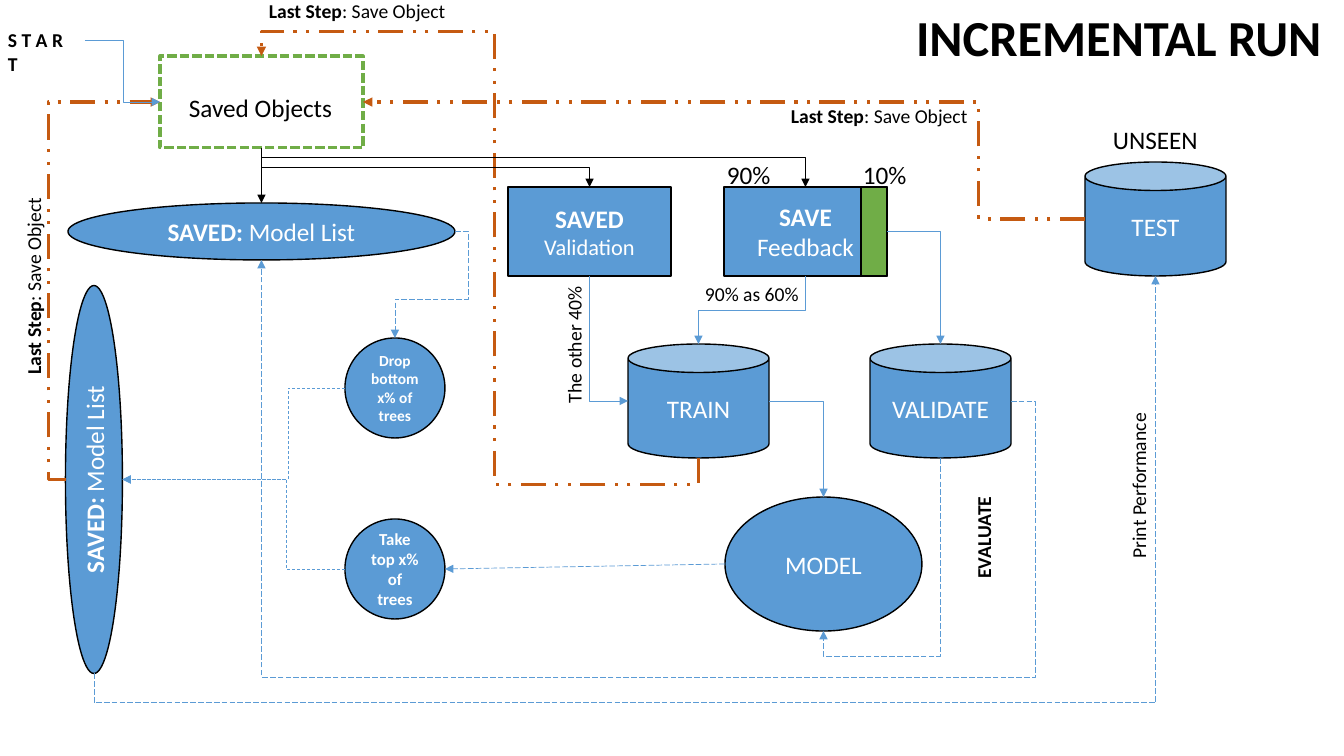
from lxml import etree
from pptx import Presentation
from pptx.dml.color import RGBColor
from pptx.enum.dml import MSO_LINE
from pptx.enum.shapes import MSO_CONNECTOR, MSO_SHAPE
from pptx.enum.text import MSO_ANCHOR, MSO_AUTO_SIZE, PP_ALIGN
from pptx.oxml.ns import qn
from pptx.util import Pt

PX = 914400 / 100.8
FONT = "Calibri"
BLUE = RGBColor(0x5B, 0x9B, 0xD5)
GREEN = RGBColor(0x70, 0xAD, 0x47)
ORANGE = RGBColor(0xC5, 0x5A, 0x11)
BLACK = RGBColor(0, 0, 0)
WHITE = RGBColor(255, 255, 255)

RECTANGLE, OVAL, CAN = MSO_SHAPE.RECTANGLE, MSO_SHAPE.OVAL, MSO_SHAPE.CAN
STRAIGHT, ELBOW = MSO_CONNECTOR.STRAIGHT, MSO_CONNECTOR.ELBOW
LONG_DASH, DASH = MSO_LINE.LONG_DASH, MSO_LINE.DASH
DASH_DOT_DOT, SQUARE_DOT = MSO_LINE.DASH_DOT_DOT, MSO_LINE.SQUARE_DOT
TOP, MIDDLE = MSO_ANCHOR.TOP, MSO_ANCHOR.MIDDLE
LEFT, CENTER = PP_ALIGN.LEFT, PP_ALIGN.CENTER
FIT_SHAPE, FIT_NONE = MSO_AUTO_SIZE.SHAPE_TO_FIT_TEXT, MSO_AUTO_SIZE.NONE

TITLE = ("INCREMENTAL RUN", (906, 1, 431, 72))
MODEL_LIST = [[("SAVED:", True, 18), (" Model List", False, 18)]]
LAST_STEP = [[("Last Step", True, 14), (": Save Object", False, 14)]]

NODES = {
    "list": (OVAL, (68, 203, 387, 57), 0, BLUE, MODEL_LIST),
    "validation": (RECTANGLE, (508, 187, 163, 89), 0, BLUE,
                   [[("SAVED", True, 18)], [("Validation", False, 16)]]),
    "feedback": (RECTANGLE, (724, 187, 163, 89), 0, BLUE,
                 [[("SAVE", True, 18)], [("Feedback", False, 18)]]),
    "test": (CAN, (1085, 162, 141, 114), 0, BLUE, [[("TEST", False, 18)]]),
    "tenth": (RECTANGLE, (861, 187, 26, 89), 0, GREEN, []),
    "train": (CAN, (628, 344, 141, 114), 0, BLUE, [[("TRAIN", False, 18)]]),
    "model": (OVAL, (725, 497, 197, 134), 0, BLUE, [[("MODEL", False, 18)]]),
    "validate": (CAN, (870, 344, 141, 114), 0, BLUE, [[("VALIDATE", False, 18)]]),
    "drop": (OVAL, (345, 338, 100, 100), 0, BLUE,
             [[("Drop bottom x% of trees", True, 11)]]),
    "take": (OVAL, (345, 519, 100, 100), 0, BLUE,
             [[("Take top x% of trees", True, 12)]]),
    "new list": (OVAL, (-100, 451, 388, 57), 270, BLUE, MODEL_LIST),
    "objects": (RECTANGLE, (160, 56, 203, 92), 0, WHITE, []),
}

LABELS = {
    "unseen": ((1103, 119, 106, 40), 0, [[("UNSEEN", False, 18)]]),
    "ten": ((853, 154, 65, 40), 0, [[("10%", False, 18)]]),
    "ninety": ((717, 154, 65, 40), 0, [[("90%", False, 18)]]),
    "print": ((1055, 468, 167, 34), 270, [[("Print Performance", False, 14)]]),
    "share": ((695, 277, 115, 34), 0, [[("90% as 60%", False, 14)]]),
    "other": ((505, 327, 138, 34), 270, [[("The other 40%", False, 14)]]),
    "saved": ((179, 87, 165, 40), 0, [[("Saved Objects", False, 18)]]),
    "test step": ((781, 99, 197, 34), 0, LAST_STEP),
    "list step": ((-65, 269, 197, 34), 270, LAST_STEP),
    "train step": ((259, -6, 197, 34), 0, LAST_STEP),
    "evaluate": ((932, 520, 103, 34), 270, [[("EVALUATE", True, 14)]]),
    "start": ((-2, 23, 87, 34), 0, [[("S T A R T", True, 14)]]),
}

SOLID_BLUE = (BLUE, 0.5, None)
LONG_BLUE = (BLUE, 0.5, LONG_DASH)
SHORT_BLUE = (BLUE, 0.5, DASH)
SAVE_ORANGE = (ORANGE, 2.25, DASH_DOT_DOT)
SOLID_BLACK = (BLACK, 0.5, None)

ROUTES = [
    ("train", "bottom", "objects", "top", [484, 495, 31], SAVE_ORANGE),
    ("validation", "bottom", "train", "left", [], SOLID_BLUE),
    ("feedback", "bottom", "train", "top", [310], SOLID_BLUE),
    ("tenth", "right", "validate", "top", [], SOLID_BLUE),
    ("train", "right", "model", "top", [], SOLID_BLUE),
    ("validate", "bottom", "model", "bottom", [656], LONG_BLUE),
    ("validate", "right", "list", "bottom", [1036, 677], LONG_BLUE),
    ("drop", "left", "new list", "right", [288], SHORT_BLUE),
    ("take", "left", "new list", "right", [286], SHORT_BLUE),
    ("list", "right", "drop", "top", [468, 299], LONG_BLUE),
    ("model", "left", "take", "right", None, LONG_BLUE),
    ("new list", "bottom", "test", "bottom", [703], LONG_BLUE),
    ("new list", "left", "objects", "left", [48], SAVE_ORANGE),
    ("test", "left", "objects", "right", [979], SAVE_ORANGE),
    ("objects", "bottom", "list", "top", None, SOLID_BLACK),
    ("objects", "bottom", "validation", "top", [167], SOLID_BLACK),
    ("objects", "bottom", "feedback", "top", [157], SOLID_BLACK),
    ("start", "right", "objects", "left", [123], SOLID_BLUE),
]

SIDES = ("top", "left", "bottom", "right")
SIDE_OFFSETS = {"top": (0, -1), "left": (-1, 0), "bottom": (0, 1), "right": (1, 0)}
OVAL_SITES = (0, 2, 4, 6)
TURNED_SITES = (6, 0, 2, 4)
CAN_SITES = (1, 2, 3, 4)
PLAIN_SITES = (0, 1, 2, 3)


def emu(lengths):
    return [round(length * PX) for length in lengths]


def write(shape, paragraphs, color=BLACK, align=LEFT, anchor=TOP, wrap=False, fit=FIT_SHAPE):
    frame = shape.text_frame
    frame.word_wrap = wrap
    frame.auto_size = fit
    frame.vertical_anchor = anchor
    for index, spans in enumerate(paragraphs):
        para = frame.add_paragraph() if index else frame.paragraphs[0]
        para.alignment = align
        for text, bold, size in spans:
            span = para.add_run()
            span.text = text
            span.font.name = FONT
            span.font.size = Pt(size)
            span.font.bold = bold
            span.font.color.rgb = color


def style_line(line, color, width, dash):
    line.color.rgb = color
    line.width = Pt(width)
    if dash is not None:
        line.dash_style = dash


def side_point(shape, side):
    width, height = shape.width, shape.height
    if shape.rotation:
        width, height = height, width
    across, down = SIDE_OFFSETS[side]
    return (shape.left + (shape.width + across * width) // 2,
            shape.top + (shape.height + down * height) // 2)


def site(name, side):
    kind, turn = (NODES[name][0], NODES[name][2]) if name in NODES else (RECTANGLE, 0)
    sites = {OVAL: TURNED_SITES if turn else OVAL_SITES, CAN: CAN_SITES}.get(kind, PLAIN_SITES)
    return sites[SIDES.index(side)]


def bend(connector, start, end, side, bends):
    first = 1 if side in ("top", "bottom") else 0
    spans = [end[0] - start[0], end[1] - start[1]]
    if first:
        turn = 270 if min(spans) > 0 else 90
    else:
        turn = 180 if side == "left" else 0
    width, height = abs(spans[first]), abs(spans[1 - first])
    connector.left = (start[0] + end[0] - width) // 2
    connector.top = (start[1] + end[1] - height) // 2
    connector.width, connector.height = width, height
    properties = connector._element.spPr
    frame = properties.find(qn("a:xfrm"))
    frame.rot = turn
    frame.flipH = (spans[first] < 0) != (turn in (180, 270))
    frame.flipV = (spans[1 - first] < 0) != (turn in (90, 180))
    geometry = properties.find(qn("a:prstGeom"))
    geometry.set("prst", f"bentConnector{len(bends) + 2}")
    guides = geometry.find(qn("a:avLst"))
    for index, place in enumerate(emu(bends)):
        axis = (first + index) % 2
        share = round((place - start[axis]) / spans[axis] * 100000)
        etree.SubElement(guides, qn("a:gd"), name=f"adj{index + 1}", fmla=f"val {share}")


def draw_route(page, shapes, route):
    source, source_side, target, target_side, bends, look = route
    start = side_point(shapes[source], source_side)
    end = side_point(shapes[target], target_side)
    kind = STRAIGHT if bends is None else ELBOW
    connector = page.shapes.add_connector(kind, *start, *end)
    connector.begin_connect(shapes[source], SIDES.index(source_side))
    connector.end_connect(shapes[target], SIDES.index(target_side))
    joints = connector._element.nvCxnSpPr.cNvCxnSpPr
    joints.stCxn.idx = site(source, source_side)
    joints.endCxn.idx = site(target, target_side)
    if bends is not None:
        bend(connector, start, end, source_side, bends)
    style_line(connector.line, *look)
    etree.SubElement(connector.line._get_or_add_ln(), qn("a:tailEnd"), type="triangle")
    etree.SubElement(connector._element.spPr, qn("a:effectLst"))


def main():
    deck = Presentation()
    deck.slide_width, deck.slide_height = emu((1344, 756))
    page = deck.slides.add_slide(deck.slide_layouts[5])
    title = page.shapes.title
    title.left, title.top, title.width, title.height = emu(TITLE[1])
    write(title, [[(TITLE[0], True, 36)]])

    shapes = {}
    for name, (kind, place, turn, fill, paragraphs) in NODES.items():
        shape = shapes[name] = page.shapes.add_shape(kind, *emu(place))
        shape.rotation = turn
        shape.shadow.inherit = False
        shape.fill.solid()
        shape.fill.fore_color.rgb = fill
        outline = (GREEN, 2.25, SQUARE_DOT) if name == "objects" else (BLACK, 1, None)
        style_line(shape.line, *outline)
        write(shape, paragraphs, color=WHITE, align=CENTER, anchor=MIDDLE, wrap=True, fit=FIT_NONE)
    for name, (place, turn, paragraphs) in LABELS.items():
        box = shapes[name] = page.shapes.add_textbox(*emu(place))
        box.rotation = turn
        write(box, paragraphs)
    for route in ROUTES:
        draw_route(page, shapes, route)
    deck.save("out.pptx")


if __name__ == "__main__":
    main()
